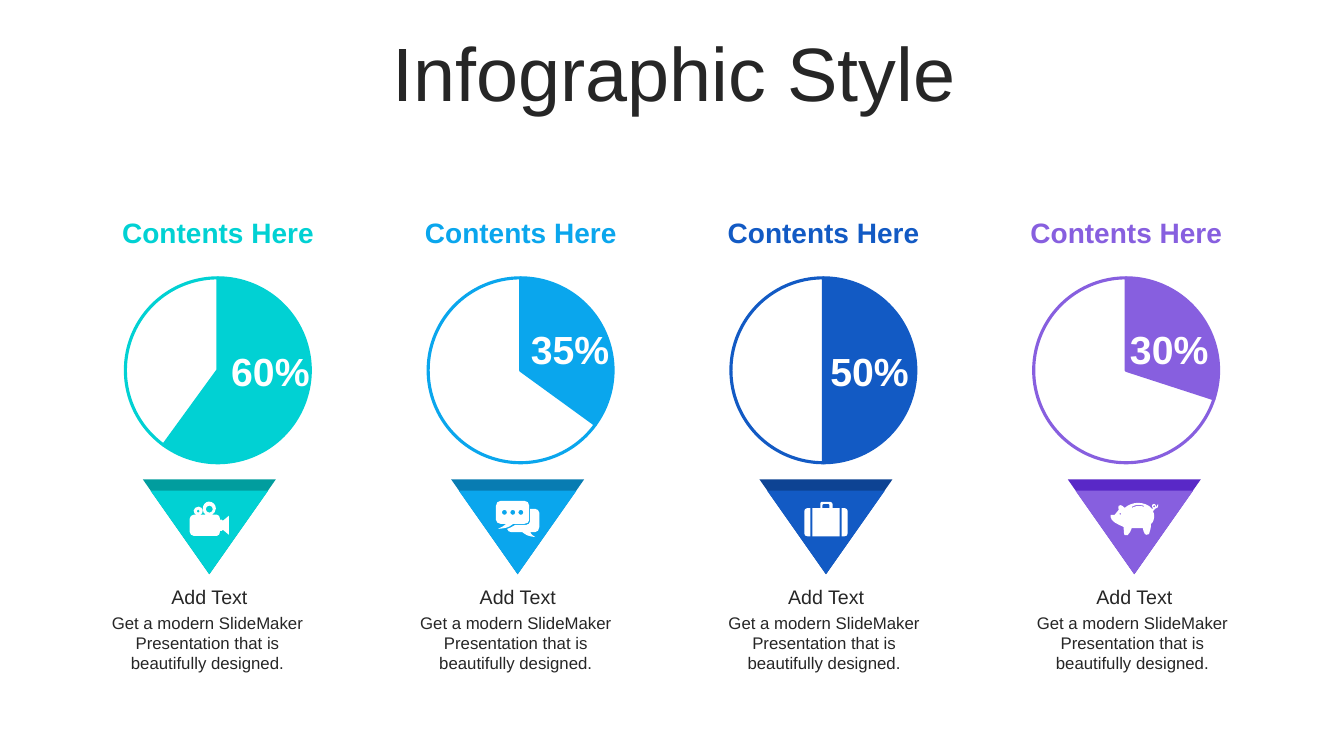
"""Build a slide with four percentage pies, icon triangles and captions."""
from lxml import etree
from pptx import Presentation, util as u
from pptx.chart.data import CategoryChartData
from pptx.dml.color import RGBColor
from pptx.enum import chart as charts, shapes, text
from pptx.oxml import parse_xml
from pptx.oxml.ns import nsdecls, qn

COLORS = {
    "ink": "262626", "white": "FFFFFF",
    "teal": "01D1D3", "teal rim": "019D9E",
    "sky": "0AA6ED", "sky rim": "087CB2",
    "navy": "125AC4", "navy rim": "0D4393",
    "violet": "875FDF", "violet rim": "5928C7",
}
PALETTE = {name: RGBColor.from_string(value) for name, value in COLORS.items()}

CAMERA = [
    "8.5 9.5 1.6", "19.5 7.5 3.5",
    "19 0,23 0 26 3 26 7,26 10 24 12 22 13,27 13,29 13 30 15 30 17,30 18,32 18,"
    "32 18 33 18 33 19,39 14,39 33,33 28,33 29 32 29 32 29,30 29,30 30,"
    "30 32 29 34 27 34,4 34,2 34 0 32 0 30,0 17,0 15 2 13 4 13,7 13,5 13 4 11 4 9,"
    "4 7 6 5 9 5,11 5 13 7 13 9,13 11 12 13 10 13,16 13,14 12 13 10 13 7,13 3 16 0 19 0",
]
CHAT = [
    "24.7 11.5 2.5", "16.7 11.5 2.5", "8.4 11.5 2.5",
    "34 8,39 8,41 8 43 10 43 12,43 26,43 29 41 31 39 31,34 31,35 32 34 33 39 36,"
    "31 35 30 34 26 31,15 31,13 31 12 30 11 28,14 27 16 26 19 24,30 24,32 24 34 22 34 20",
    "5 0,28 0,31 0 33 2 33 5,33 19,33 21 31 23 28 23,17 23,12 27 10 27 2 28,"
    "7 25 7 26 10 23,5 23,2 23 0 21 0 19,0 5,0 2 2 0 5 0",
]
SUITCASE = [
    "37 6,40 6,42 6 43 8 43 9,43 31,43 33 42 34 40 34,37 34",
    "3 6,6 6,6 34,3 34,1 34 0 33 0 31,0 9,0 8 1 6 3 6",
    "19 2,18 2 18 3 18 4,18 6,25 6,25 4,25 3 25 2 24 2",
    "17 0,26 0,27 0 28 1 28 2,28 6,35 6,35 34,8 34,8 6,16 6,16 2,16 1 16 0 17 0",
]
PIGGY_BANK = [
    "9.5 11 1", "43.2 3.5 1.2",
    "27 2,25 2 23 3 21 4,21 5,25 3 29 2 33 4,33 3,31 2 29 2 27 2",
    "27 0,32 0 38 2 40 5,41 6,42 6,41 5 41 5 41 3,41 2 42 1 43 1,44 1 45 2 45 3,45 4,"
    "45 4 46 4 47 1,48 4 46 6 44 6,43 7 43 8 42 8,43 11,44 15 42 20 40 21,"
    "40 26 39 28 38 31,37 32 34 32 34 31,33 29 32 27 32 25,21 25,20 28 19 30 17 32,"
    "14 32,13 32 13 27 13 24,9 22 -1 19 0 12,4 12,6 10 6 9 8 7,8 6 7 3 8 3,"
    "11 1 12 4 14 5,17 2 23 0 27 0",
]
COLUMNS = [
    ("teal", 60, 8.61, CAMERA, 4.78, 12.64),
    ("sky", 35, 8.06, CHAT, 12.5, 12.62),
    ("navy", 50, 8.61, SUITCASE, 20.27, 12.65),
    ("violet", 30, 8.06, PIGGY_BANK, 27.99, 12.67),
]

deck = Presentation()
deck.slide_width, deck.slide_height = u.Cm(33.87), u.Cm(19.05)
slide = deck.slides.add_slide(deck.slide_layouts[6])


def add_label(words, box, size, color, bold=False, anchor=text.MSO_ANCHOR.MIDDLE):
    """Add one centred paragraph and return it."""
    frame = slide.shapes.add_textbox(*map(u.Cm, box)).text_frame
    frame.word_wrap = True
    frame.vertical_anchor = anchor
    line = frame.paragraphs[0]
    line.alignment = text.PP_ALIGN.CENTER
    run = line.add_run()
    run.text = words
    run.font.name, run.font.size, run.font.bold = "Arial", u.Pt(size), bold
    run.font.color.rgb = PALETTE[color]
    return line


def read_steps(outline):
    """Give the start and then each line (two numbers) or curve (six numbers)."""
    steps = [[round(float(n) * 10) for n in step.split()] for step in outline.split(",")]
    if len(steps[0]) == 3:
        x, y, r = steps[0]
        k = round(0.55 * r)
        steps = [[x + r, y],
                 [x + r, y + k, x + k, y + r, x, y + r],
                 [x - k, y + r, x - r, y + k, x - r, y],
                 [x - r, y - k, x - k, y - r, x, y - r],
                 [x + k, y - r, x + r, y - k, x + r, y]]
    return steps


title = add_label("Infographic Style", (0.91, 0.94, 32.16, 2.01), 54, "ink")
title.line_spacing = 0.9

for i, (color, share, share_top, icon, icon_left, icon_top) in enumerate(COLUMNS):
    pie_shift, caption_shift = 7.63 * i, 7.77 * i

    for tone, left, top, width, height in [(color + " rim", 3.6, 12.08, 3.35, 2.39),
                                           (color, 3.79, 12.36, 2.97, 2.11)]:
        triangle = slide.shapes.add_shape(
            shapes.MSO_SHAPE.ISOSCELES_TRIANGLE, u.Cm(left + caption_shift),
            u.Cm(top), u.Cm(width), u.Cm(height))
        triangle.rotation = 180
        triangle.shadow.inherit = False
        triangle.fill.solid()
        triangle.fill.fore_color.rgb = PALETTE[tone]
        triangle.line.fill.background()

    data = CategoryChartData()
    data.categories = ["1", "2"]
    data.add_series("Series 1", (share, 100 - share))
    pie = slide.shapes.add_chart(
        charts.XL_CHART_TYPE.PIE, u.Cm(3.09 + pie_shift), u.Cm(6.93),
        u.Cm(4.8), u.Cm(4.83), data).chart
    pie.has_legend = pie.has_title = False
    pie.font.name, pie.font.size = "Arial", u.Pt(18)
    pie.font.color.rgb = RGBColor(0, 0, 0)
    pie.plots[0].vary_by_categories = True
    for k, tone in enumerate((color, "white")):
        wedge = pie.plots[0].series[0].points[k].format
        wedge.fill.solid()
        wedge.fill.fore_color.rgb = PALETTE[tone]
        wedge.line.color.rgb = PALETTE[color]
        wedge.line.width = u.Pt(2.25)
    layout = parse_xml(
        f'<c:layout {nsdecls("c")}><c:manualLayout><c:layoutTarget val="inner"/>'
        '<c:xMode val="edge"/><c:yMode val="edge"/><c:x val="0.015"/><c:y val="0.015"/>'
        '<c:w val="1"/><c:h val="0.965"/></c:manualLayout></c:layout>')
    plot_area = pie.plots[0]._element.getparent()
    for old in plot_area.findall(qn("c:layout")):
        plot_area.remove(old)
    plot_area.insert(0, layout)

    add_label("Contents Here", (2.7 + pie_shift, 5.29, 5.59, 1.12), 20, color, True)
    add_label(f"{share}%", (5.33 + 7.55 * i, share_top, 2.97, 1.45), 28, "white", True)
    add_label("Add Text", (2.36 + caption_shift, 14.61, 5.84, 0.86), 14, "ink",
              anchor=text.MSO_ANCHOR.TOP)
    add_label("Get a modern SlideMaker Presentation that is beautifully designed.",
              (2.31 + caption_shift, 15.31, 5.84, 1.8), 12, "ink",
              anchor=text.MSO_ANCHOR.TOP)

    contours = [read_steps(outline) for outline in icon]
    pen = slide.shapes.build_freeform(*contours[-1][0], scale=u.Cm(2.54) / 1000)
    for start, *steps in contours[-1:] + contours[:-1]:
        if start != contours[-1][0]:
            pen.move_to(*start)
        pen.add_line_segments([step[-2:] for step in steps], close=True)
    symbol = pen.convert_to_shape(u.Cm(icon_left), u.Cm(icon_top))
    symbol.shadow.inherit = False
    symbol.fill.solid()
    symbol.fill.fore_color.rgb = PALETTE["white"]
    symbol.line.fill.background()

    ends = [step[-2:] for contour in contours for step in contour]
    min_x, min_y = (min(axis) for axis in zip(*ends))
    all_steps = [step for contour in contours[-1:] + contours[:-1] for step in contour[1:]]
    for segment, step in zip(list(symbol._element.iter(qn("a:lnTo"))), all_steps):
        if len(step) == 6:
            segment.tag = qn("a:cubicBezTo")
            segment.remove(segment[0])
            for x, y in zip(step[::2], step[1::2]):
                etree.SubElement(segment, qn("a:pt"), x=str(x - min_x), y=str(y - min_y))

deck.save("out.pptx")
